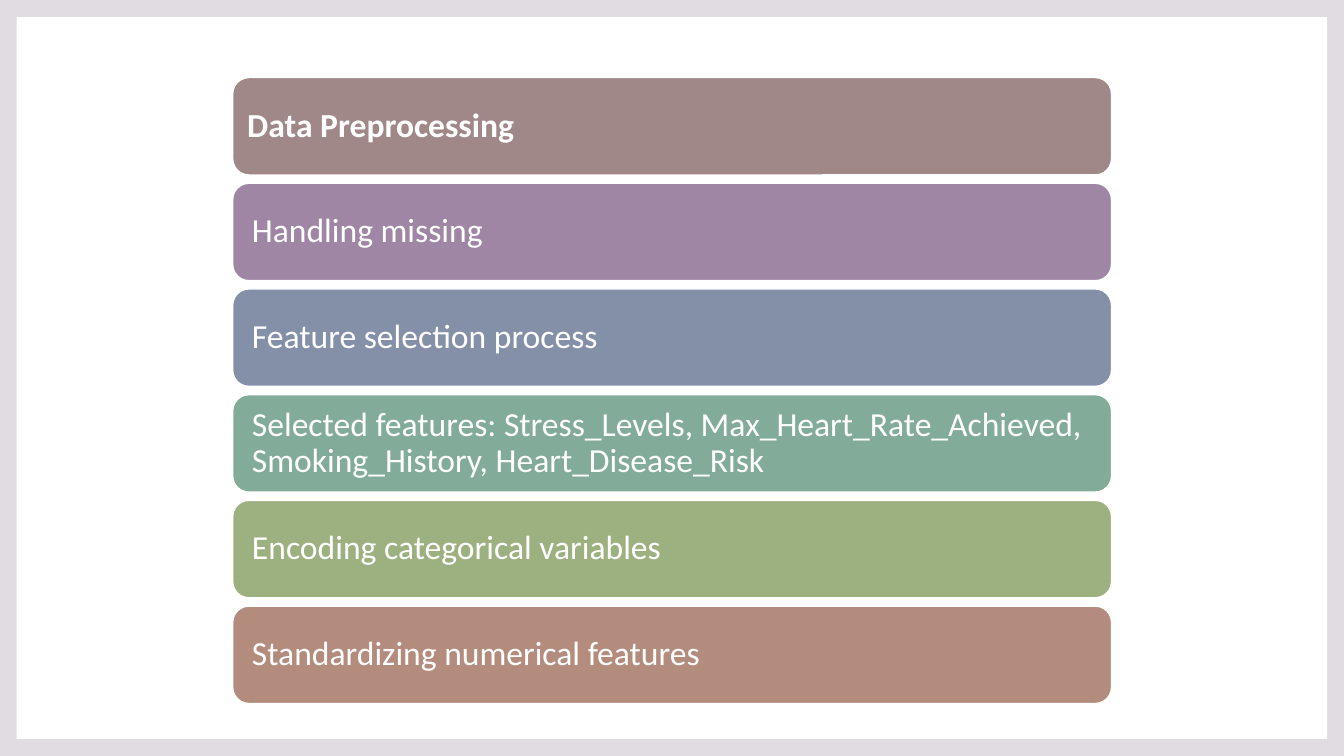
from pptx import Presentation
from pptx.dml.color import RGBColor
from pptx.enum.shapes import MSO_SHAPE
from pptx.enum.text import MSO_ANCHOR, MSO_AUTO_SIZE, PP_ALIGN
from pptx.util import Pt

RECT = MSO_SHAPE.RECTANGLE
ROUND = MSO_SHAPE.ROUNDED_RECTANGLE
MIDDLE = MSO_ANCHOR.MIDDLE
FIXED = MSO_AUTO_SIZE.NONE
LEFT = PP_ALIGN.LEFT

WHITE = RGBColor(0xFF, 0xFF, 0xFF)
FRAME = RGBColor(0xE0, 0xDC, 0xE1)
BROWN = RGBColor(0xA0, 0x88, 0x89)
PURPLE = RGBColor(0x9F, 0x86, 0xA4)
BLUE = RGBColor(0x84, 0x90, 0xA8)
TEAL = RGBColor(0x82, 0xAC, 0x99)
GREEN = RGBColor(0x9D, 0xB0, 0x80)
CLAY = RGBColor(0xB4, 0x8C, 0x7E)

STEPS = [
    ("Data Preprocessing", BROWN),
    ("Handling missing", PURPLE),
    ("Feature selection process", BLUE),
    ("Selected features: Stress_Levels, Max_Heart_Rate_Achieved, "
     "Smoking_History, Heart_Disease_Risk", TEAL),
    ("Encoding categorical variables", GREEN),
    ("Standardizing numerical features", CLAY),
]
BAR_X, BAR_Y, BAR_W, BAR_H = Pt(166.2), Pt(55.4), Pt(627.8), Pt(69.6)
PITCH = Pt(75.5)


def write(shape, text, size=24, bold=False, color=WHITE):
    frame = shape.text_frame
    frame.word_wrap = True
    frame.auto_size = FIXED
    frame.vertical_anchor = MIDDLE
    frame.margin_left = frame.margin_right = Pt(10.4)
    frame.margin_top = frame.margin_bottom = Pt(7.2)
    line = frame.paragraphs[0]
    line.alignment = LEFT
    line.line_spacing = 0.9
    run = line.add_run()
    run.text = text
    run.font.name = "Calibri"
    run.font.size = Pt(size)
    run.font.bold = bold
    run.font.color.rgb = color


deck = Presentation()
deck.slide_width = Pt(960)
deck.slide_height = Pt(540)
slide = deck.slides.add_slide(deck.slide_layouts[5])
slide.background.fill.solid()
slide.background.fill.fore_color.rgb = FRAME

panel = slide.shapes.add_shape(RECT, Pt(12), Pt(12.2), Pt(936), Pt(515.6))
panel.shadow.inherit = False
panel.fill.solid()
panel.fill.fore_color.rgb = WHITE
panel.line.fill.background()

title = slide.shapes.title
for row, (text, color) in enumerate(STEPS):
    top = BAR_Y + row * PITCH
    bar = slide.shapes.add_shape(ROUND, BAR_X, top, BAR_W, BAR_H)
    bar.shadow.inherit = False
    bar.fill.solid()
    bar.fill.fore_color.rgb = color
    bar.line.color.rgb = WHITE
    bar.line.width = Pt(1)
    if row:
        write(bar, text)
    else:
        title.left, title.top, title.width, title.height = BAR_X, top, BAR_W, BAR_H
        write(title, text, bold=True)
        bar._element.addnext(title._element)

deck.save("out.pptx")
